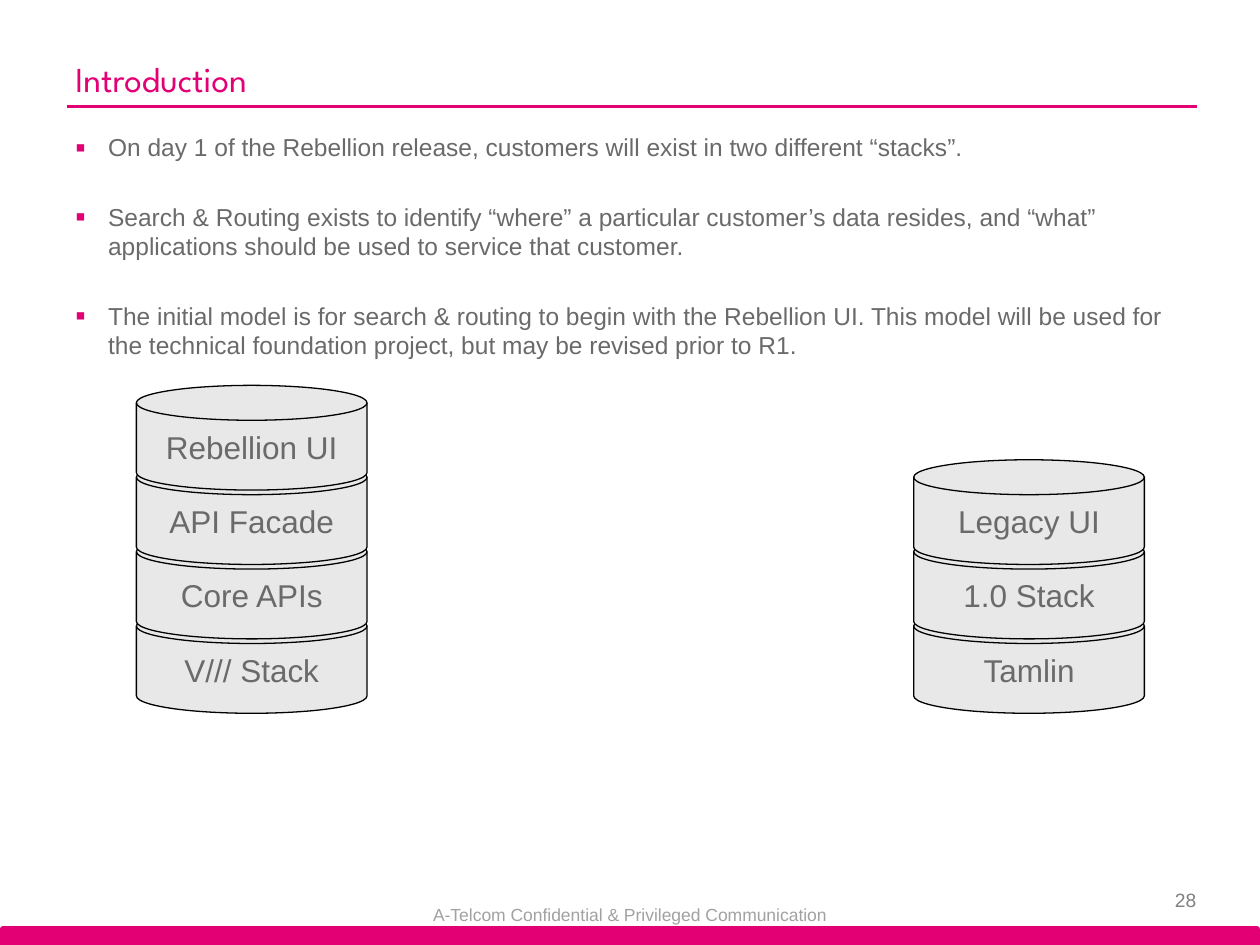
from dataclasses import dataclass

from lxml import etree
from pptx import Presentation
from pptx import util as u
from pptx.dml.color import RGBColor
from pptx.enum import shapes, text
from pptx.oxml import ns


@dataclass(frozen=True)
class Theme:
    accent: str = "E20074"
    body: str = "6A6A6A"
    number: str = "808080"
    footer: str = "A1A1A1"
    disk: str = "E8E8E8"
    outline: str = "000000"
    body_font: str = "Arial"
    title_font: str = "League Spartan"
    title_size: float = 20
    disk_size: float = 18
    body_size: float = 14
    number_size: float = 11
    footer_size: float = 10


def write(paragraph, words, *, size, color, font, align=text.PP_ALIGN.LEFT, before=0):
    paragraph.alignment = align
    paragraph.space_before = u.Pt(before)
    run = paragraph.add_run()
    run.text = words
    run.font.size = u.Pt(size)
    run.font.name = font
    run.font.color.rgb = RGBColor.from_string(color)


def add_bullet(paragraph, color, indent):
    properties = paragraph._p.get_or_add_pPr()
    properties.set("marL", str(indent))
    properties.set("indent", str(-indent))
    bullet_color = etree.SubElement(properties, ns.qn("a:buClr"))
    etree.SubElement(bullet_color, ns.qn("a:srgbClr"), val=color)
    etree.SubElement(properties, ns.qn("a:buSzPct"), val="120000")
    etree.SubElement(properties, ns.qn("a:buFont"), typeface="Arial")
    etree.SubElement(properties, ns.qn("a:buChar"), char="▪")


class SlideBuilder:
    def __init__(self, slide, theme):
        self.slide = slide
        self.theme = theme

    def text_box(self, left, top, width, height, anchor=text.MSO_ANCHOR.MIDDLE):
        box = self.slide.shapes.add_textbox(u.Cm(left), u.Cm(top), u.Cm(width), u.Cm(height))
        box.text_frame.word_wrap = True
        box.text_frame.vertical_anchor = anchor
        return box.text_frame

    def label(self, words, *place, anchor=text.MSO_ANCHOR.MIDDLE, **style):
        write(self.text_box(*place, anchor=anchor).paragraphs[0], words, **style)

    def bullets(self, items, *place):
        frame = self.text_box(*place, anchor=text.MSO_ANCHOR.TOP)
        for index, item in enumerate(items):
            paragraph = frame.add_paragraph() if index else frame.paragraphs[0]
            write(paragraph, item, size=self.theme.body_size, color=self.theme.body,
                  font=self.theme.body_font, before=23 if index else 0)
            add_bullet(paragraph, self.theme.accent, u.Cm(0.66))

    def shape(self, kind, left, top, width, height, fill, outline=None):
        shape = self.slide.shapes.add_shape(kind, u.Cm(left), u.Cm(top), u.Cm(width), u.Cm(height))
        shape.shadow.inherit = False
        shape.fill.solid()
        shape.fill.fore_color.rgb = RGBColor.from_string(fill)
        if outline:
            shape.line.color.rgb = RGBColor.from_string(outline)
            shape.line.width = u.Pt(0.75)
        else:
            shape.line.fill.background()
        return shape

    def rule(self, left, right, top):
        line = self.slide.shapes.add_connector(
            shapes.MSO_CONNECTOR.STRAIGHT, u.Cm(left), u.Cm(top), u.Cm(right), u.Cm(top))
        line.line.color.rgb = RGBColor.from_string(self.theme.accent)
        line.line.width = u.Pt(2)
        etree.SubElement(line._element.spPr, ns.qn("a:effectLst"))

    def stack(self, names, left, bottom_disk_top=12.27, step=1.5):
        for level, name in enumerate(names):
            disk = self.shape(shapes.MSO_SHAPE.FLOWCHART_MAGNETIC_DISK, left,
                              bottom_disk_top - level * step, 4.65, 2.11,
                              self.theme.disk, self.theme.outline)
            frame = disk.text_frame
            frame.vertical_anchor = text.MSO_ANCHOR.MIDDLE
            write(frame.paragraphs[0], name, size=self.theme.disk_size, color=self.theme.body,
                  font=self.theme.body_font, align=text.PP_ALIGN.CENTER)


def main():
    presentation = Presentation()
    presentation.slide_width = u.Cm(25.4)
    presentation.slide_height = u.Cm(19.05)
    theme = Theme()
    builder = SlideBuilder(presentation.slides.add_slide(presentation.slide_layouts[6]), theme)

    builder.shape(shapes.MSO_SHAPE.ROUND_2_SAME_RECTANGLE, 0, 18.67, 25.4, 0.38, theme.accent)
    builder.label("28", 23.01, 17.86, 1.78, 0.56, size=theme.number_size, color=theme.number,
                  font=theme.body_font, align=text.PP_ALIGN.CENTER)
    builder.rule(1.35, 24.13, 2.15)
    builder.bullets([
        "On day 1 of the Rebellion release, customers will exist in two different “stacks”.",
        "Search & Routing exists to identify “where” a particular customer’s data resides, "
        "and “what” applications should be used to service that customer.",
        "The initial model is for search & routing to begin with the Rebellion UI. This model "
        "will be used for the technical foundation project, but may be revised prior to R1.",
    ], 1.27, 2.54, 22.86, 13.34)
    builder.label("A-Telcom Confidential & Privileged Communication", 6.22, 18.19, 12.95, 0.48,
                  size=theme.footer_size, color=theme.footer, font=theme.body_font,
                  align=text.PP_ALIGN.CENTER)
    builder.label("Introduction", 1.27, 1.02, 22.86, 1.12, anchor=text.MSO_ANCHOR.BOTTOM,
                  size=theme.title_size, color=theme.accent, font=theme.title_font)
    builder.stack(["V/// Stack", "Core APIs", "API Facade", "Rebellion UI"], 2.75)
    builder.stack(["Tamlin", "1.0 Stack", "Legacy UI"], 18.42)

    presentation.save("out.pptx")


if __name__ == "__main__":
    main()
